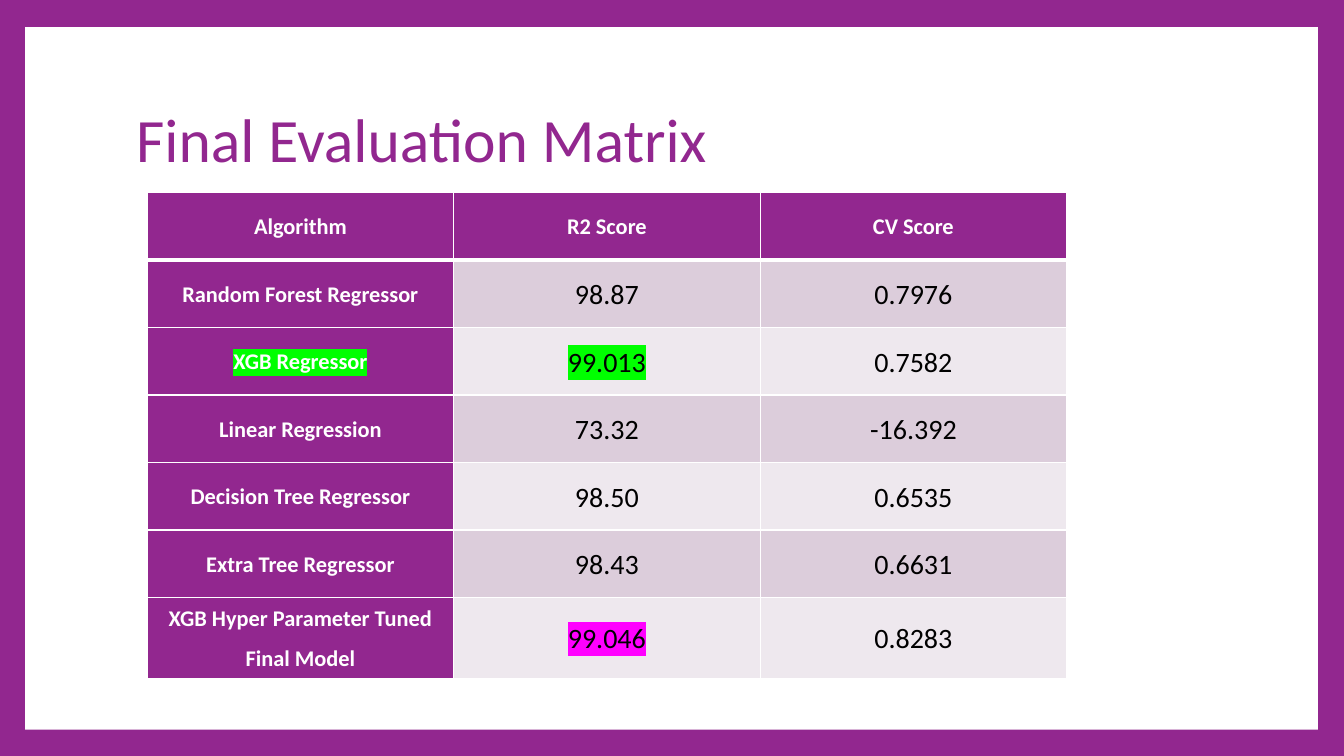
"""Build the model evaluation slide with its table of regression scores."""
from dataclasses import dataclass
from typing import Optional

from lxml import etree
from pptx import Presentation, dml, oxml, slide as slides, table as tables, util as u
from pptx.dml import color
from pptx.enum import shapes, text
from pptx.oxml import ns
from pptx.text import text as runs


@dataclass(frozen=True)
class Theme:
    font: str = "Calibri"
    purple: str = "92278F"
    white: str = "FFFFFF"
    black: str = "000000"
    bands: tuple[str, str] = ("DCCDDB", "EEE8EE")
    green: str = "00FF00"
    magenta: str = "FF00FF"
    title_size: int = 44
    label_size: int = 16
    score_size: int = 20
    thin_border: int = 1
    header_border: int = 3


@dataclass(frozen=True)
class Score:
    algorithm: tuple[str, ...]
    r2: str
    cv: str
    algorithm_highlight: Optional[str] = None
    r2_highlight: Optional[str] = None


THEME = Theme()
HEADERS = ("Algorithm", "R2 Score", "CV Score")
SCORES = (
    Score(("Random Forest Regressor",), "98.87", "0.7976"),
    Score(("XGB Regressor",), "99.013", "0.7582", THEME.green, THEME.green),
    Score(("Linear Regression",), "73.32", "-16.392"),
    Score(("Decision Tree Regressor",), "98.50", "0.6535"),
    Score(("Extra Tree Regressor",), "98.43", "0.6631"),
    Score(("XGB Hyper Parameter Tuned", "Final Model"), "99.046", "0.8283",
          r2_highlight=THEME.magenta),
)
COLUMN_WIDTH = u.Inches(3.04)
ROW_HEIGHT = u.Inches(0.67)
LAST_ROW_HEIGHT = u.Inches(0.8)


def rgb(value: str) -> color.RGBColor:
    return color.RGBColor.from_string(value)


def add_run(paragraph: runs._Paragraph, words: str, size: int, ink: str,
            bold: bool = False, highlight: Optional[str] = None) -> None:
    run = paragraph.add_run()
    run.text = words
    run.font.name = THEME.font
    run.font.size = u.Pt(size)
    run.font.bold = bold
    run.font.color.rgb = rgb(ink)
    if highlight:
        mark = etree.Element(ns.qn("a:highlight"))
        etree.SubElement(mark, ns.qn("a:srgbClr"), val=highlight)
        run.font._element.find(ns.qn("a:solidFill")).addnext(mark)


def set_borders(cell: tables._Cell, top: int, bottom: int) -> None:
    properties = cell._tc.get_or_add_tcPr()
    widths = {"L": THEME.thin_border, "R": THEME.thin_border, "T": top, "B": bottom}
    for side, width in widths.items():
        line = etree.SubElement(properties, ns.qn(f"a:ln{side}"), w=str(u.Pt(width)))
        fill = etree.SubElement(line, ns.qn("a:solidFill"))
        etree.SubElement(fill, ns.qn("a:srgbClr"), val=THEME.white)


def fill_cell(cell: tables._Cell, row: int, lines: tuple[str, ...], label: bool,
              highlight: Optional[str] = None) -> None:
    set_borders(cell,
                THEME.header_border if row == 1 else THEME.thin_border,
                THEME.header_border if row == 0 else THEME.thin_border)
    cell.fill.solid()
    cell.fill.fore_color.rgb = rgb(THEME.purple if label else THEME.bands[(row - 1) % 2])
    cell.vertical_anchor = text.MSO_ANCHOR.MIDDLE
    cell.margin_left = cell.margin_right = u.Inches(0.04)
    cell.margin_top = cell.margin_bottom = u.Inches(0)
    size, ink = ((THEME.label_size, THEME.white) if label
                 else (THEME.score_size, THEME.black))
    for index, words in enumerate(lines):
        frame = cell.text_frame
        paragraph = frame.add_paragraph() if index else frame.paragraphs[0]
        paragraph.alignment = text.PP_ALIGN.CENTER
        paragraph.line_spacing = 1.07
        paragraph.space_after = u.Pt(8)
        add_run(paragraph, words, size, ink, label, highlight)


def add_background(slide: slides.Slide) -> None:
    slide.background.fill.solid()
    slide.background.fill.fore_color.rgb = rgb(THEME.purple)
    panel = slide.shapes.add_shape(shapes.MSO_SHAPE.RECTANGLE, u.Inches(0.25),
                                   u.Inches(0.27), u.Inches(12.82), u.Inches(6.97))
    panel.shadow.inherit = False
    panel.fill.solid()
    panel.fill.fore_color.rgb = rgb(THEME.white)
    panel.line.fill.background()
    slide.shapes._spTree.insert(2, panel._element)


def add_title(slide: slides.Slide) -> None:
    title = slide.shapes.title
    title.left, title.top = u.Inches(1.25), u.Inches(0.67)
    title.width, title.height = u.Inches(10.8), u.Inches(1.48)
    title.text_frame.vertical_anchor = text.MSO_ANCHOR.MIDDLE
    paragraph = title.text_frame.paragraphs[0]
    paragraph.alignment = text.PP_ALIGN.LEFT
    paragraph.line_spacing = 0.9
    add_run(paragraph, "Final Evaluation Matrix", THEME.title_size, THEME.purple)


def add_scores(slide: slides.Slide) -> None:
    height = ROW_HEIGHT * len(SCORES) + LAST_ROW_HEIGHT
    table = slide.shapes.add_table(len(SCORES) + 1, len(HEADERS), u.Inches(1.46),
                                   u.Inches(1.91), COLUMN_WIDTH * len(HEADERS),
                                   height).table
    for column in table.columns:
        column.width = COLUMN_WIDTH
    for row in table.rows:
        row.height = ROW_HEIGHT
    table.rows[len(SCORES)].height = LAST_ROW_HEIGHT
    for column, header in enumerate(HEADERS):
        fill_cell(table.cell(0, column), 0, (header,), True)
    for row, score in enumerate(SCORES, 1):
        fill_cell(table.cell(row, 0), row, score.algorithm, True,
                  score.algorithm_highlight)
        fill_cell(table.cell(row, 1), row, (score.r2,), False, score.r2_highlight)
        fill_cell(table.cell(row, 2), row, (score.cv,), False)


def main() -> None:
    presentation = Presentation()
    presentation.slide_width = u.Inches(13.33)
    presentation.slide_height = u.Inches(7.5)
    slide = presentation.slides.add_slide(presentation.slide_layouts[5])
    add_background(slide)
    add_title(slide)
    add_scores(slide)
    presentation.save("out.pptx")


main()
